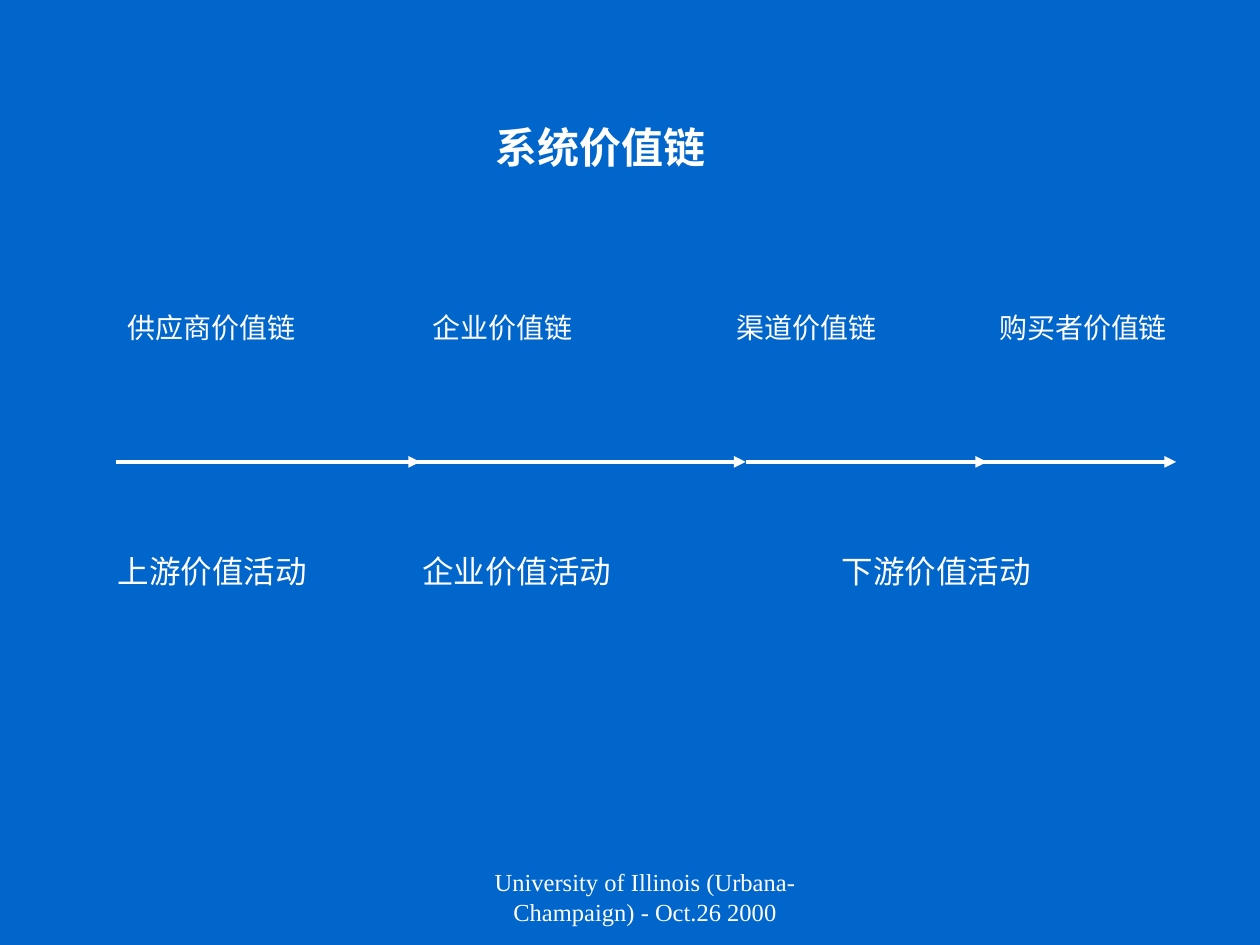
from dataclasses import dataclass

from lxml.etree import SubElement
from pptx import Presentation
from pptx.dml.color import RGBColor
from pptx.enum.shapes import MSO_CONNECTOR as Connector
from pptx.enum.text import MSO_AUTO_SIZE as AutoSize, PP_ALIGN as Align
from pptx.oxml.ns import qn
from pptx.util import Cm, Pt


@dataclass(frozen=True)
class Theme:
    background: RGBColor = RGBColor(0x00, 0x66, 0xCC)
    ink: RGBColor = RGBColor(0xFF, 0xFF, 0xFF)
    font: str = "Times New Roman"
    title: int = 24
    activity: int = 18
    chain: int = 16
    footer: int = 14
    arrow: float = 2.25


theme = Theme()


def add_text(slide, text, left, top, width, height, size, bold=False, frame_format=None):
    box = slide.shapes.add_textbox(Cm(left), Cm(top), Cm(width), Cm(height))
    frame = box.text_frame
    layout = {"word_wrap": True, "auto_size": AutoSize.SHAPE_TO_FIT_TEXT}
    for name, value in (layout | (frame_format or {})).items():
        setattr(frame, name, value)
    para = frame.paragraphs[0]
    span = para.add_run()
    span.text = text
    for name, value in {"name": theme.font, "size": Pt(size), "bold": bold}.items():
        setattr(span.font, name, value)
    span.font.color.rgb = theme.ink
    return para


def add_arrow(slide, start, end, level):
    arrow = slide.shapes.add_connector(
        Connector.STRAIGHT, Cm(start), Cm(level), Cm(end), Cm(level))
    arrow.line.color.rgb = theme.ink
    arrow.line.width = Pt(theme.arrow)
    SubElement(arrow.line._get_or_add_ln(), qn("a:tailEnd"), type="triangle")
    SubElement(arrow._element.spPr, qn("a:effectLst"))


# Slide
deck = Presentation()
deck.slide_width, deck.slide_height = Cm(25.4), Cm(19.05)
slide = deck.slides.add_slide(deck.slide_layouts[6])
slide.background.fill.solid()
slide.background.fill.fore_color.rgb = theme.background

# Title
add_text(slide, "系统价值链", 9.74, 2.33, 11.64, 1.27, theme.title, bold=True)

# Chain of arrows
for start, end in [(2.33, 8.47), (8.26, 15.03), (15.03, 19.9), (19.69, 23.71)]:
    add_arrow(slide, start, end, 9.31)

# Value chains above the arrows
for text, left, width in [
    ("供应商价值链", 2.33, 4.66),
    ("企业价值链", 8.47, 3.81),
    ("渠道价值链", 14.6, 4.23),
    ("购买者价值链", 19.9, 4.45),
]:
    add_text(slide, text, left, 6.14, width, 0.93, theme.chain)

# Value activities below the arrows
for text, left, width in [
    ("上游价值活动", 2.12, 4.45),
    ("企业价值活动", 8.26, 4.66),
    ("下游价值活动", 16.72, 5.72),
]:
    add_text(slide, text, left, 11.01, width, 1.02, theme.activity)

# Footer
footer = add_text(
    slide, "University of Illinois (Urbana-Champaign) - Oct.26 2000",
    8.68, 17.36, 8.04, 1.27, theme.footer,
    frame_format={"auto_size": AutoSize.NONE, "margin_left": Cm(0.86)})
footer.alignment = Align.CENTER

deck.save("out.pptx")
